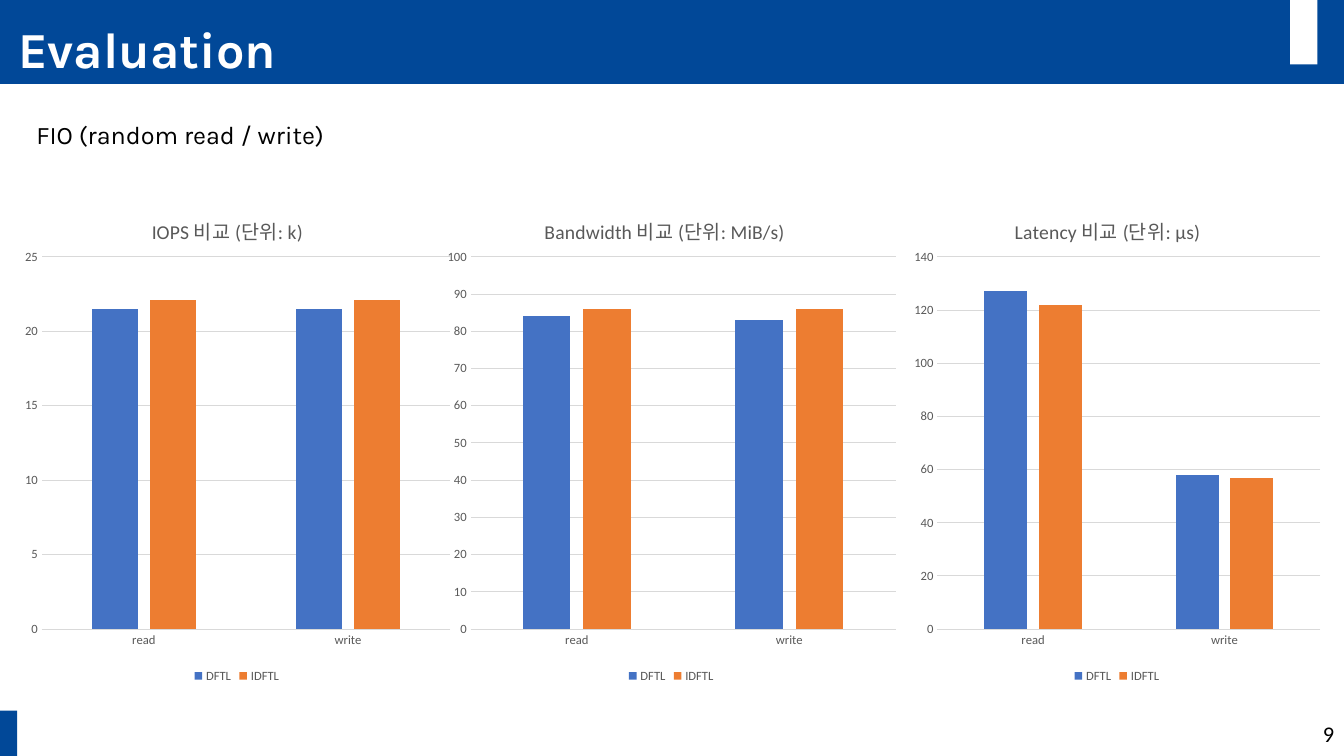
from lxml import etree
from pptx import Presentation
from pptx.chart.data import CategoryChartData
from pptx.dml.color import RGBColor
from pptx.enum.chart import XL_CHART_TYPE, XL_LEGEND_POSITION, XL_TICK_MARK
from pptx.enum.shapes import MSO_SHAPE
from pptx.enum.text import MSO_ANCHOR, PP_ALIGN
from pptx.oxml.ns import qn
from pptx.util import Pt

COLUMNS = XL_CHART_TYPE.COLUMN_CLUSTERED
BOTTOM = XL_LEGEND_POSITION.BOTTOM
NO_TICK = XL_TICK_MARK.NONE
RECT = MSO_SHAPE.RECTANGLE

# Content
HEADING = "Evaluation"
WORKLOAD = "FIO (random read / write)"
PAGE = "9"
CATEGORIES = ["read", "write"]
COMPARISONS = [
    {"title": "Latency 비교 (단위: μs)", "left": 646.6, "width": 302.4,
     "title_x": 0.25, "axis_space": 23, "max": 140, "step": 20,
     "values": {"DFTL": [127, 58], "IDFTL": [122, 57]}},
    {"title": "Bandwidth 비교 (단위: MiB/s)", "left": 313.2, "width": 332.6,
     "title_x": 0.22, "axis_space": 23, "max": 100, "step": 10,
     "values": {"DFTL": [84, 83], "IDFTL": [86, 86]}},
    {"title": "IOPS 비교 (단위: k)", "left": 10.8, "width": 316.8,
     "title_x": 0.3, "axis_space": 19, "max": 25, "step": 5,
     "values": {"DFTL": [21.5, 21.5], "IDFTL": [22.1, 22.1]}},
]

# Style
COLORS = {"blue": "014898", "white": "FFFFFF", "black": "000000",
          "gray": "595959", "grid": "D9D9D9",
          "DFTL": "4472C4", "IDFTL": "ED7D31"}
SLIDE_W, SLIDE_H = 960, 540
CHART_TOP, CHART_H = 132.5, 358.5
PLOT_TOP, PLOT_H, PLOT_RIGHT_GAP = 51, 266, 6
TITLE_Y = 0.05
BARS = [  # left, top, width, height, colour
    (0, 0, SLIDE_W, 60, "blue"),
    (921.6, 0, 19.4, 46, "white"),
    (-0.7, 507.6, 13, 33, "blue"),
]


def rgb(name):
    return RGBColor.from_string(COLORS[name])


def style_font(font, size, color, name="Calibri", bold=False):
    for key, value in {"size": Pt(size), "name": name, "bold": bold}.items():
        setattr(font, key, value)
    font.color.rgb = rgb(color)


def write(frame, text, size, color, name, bold=False):
    frame.text = text
    style_font(frame.paragraphs[0].runs[0].font, size, color, name, bold)
    return frame.paragraphs[0]


def set_layout(parent, index, values):
    """Give a chart part a manual layout in fractions of the chart."""
    for old in parent.findall(qn("c:layout")):
        parent.remove(old)
    layout = etree.Element(qn("c:layout"))
    manual = etree.SubElement(layout, qn("c:manualLayout"))
    for key, value in values.items():
        text = value if isinstance(value, str) else f"{value:.4f}"
        etree.SubElement(manual, qn(f"c:{key}")).set("val", text)
    parent.insert(index, layout)


def add_comparison(slide, item):
    data = CategoryChartData()
    data.categories = CATEGORIES
    for name, values in item["values"].items():
        data.add_series(name, values)
    width = item["width"]
    chart = slide.shapes.add_chart(COLUMNS, Pt(item["left"]), Pt(CHART_TOP),
                                   Pt(width), Pt(CHART_H), data).chart
    style_font(chart.font, 10, "black")

    # Columns
    plot = chart.plots[0]
    for key, value in {"gap_width": 219, "overlap": -27,
                       "vary_by_categories": False}.items():
        setattr(plot, key, value)
    for series in plot.series:
        series.format.fill.solid()
        series.format.fill.fore_color.rgb = rgb(series.name)

    # Axes
    for axis in (chart.category_axis, chart.value_axis):
        axis.major_tick_mark = axis.minor_tick_mark = NO_TICK
        style_font(axis.tick_labels.font, 9, "gray")
    scale = {"minimum_scale": 0, "maximum_scale": item["max"],
             "major_unit": item["step"], "has_major_gridlines": True}
    for key, value in scale.items():
        setattr(chart.value_axis, key, value)
    for line in (chart.category_axis.format.line,
                 chart.value_axis.major_gridlines.format.line):
        line.color.rgb = rgb("grid")
        line.width = Pt(0.75)
    chart.value_axis.format.line.fill.background()

    # Legend and title
    chart.has_legend = True
    chart.legend.position = BOTTOM
    chart.legend.include_in_layout = False
    style_font(chart.legend.font, 9, "gray")
    write(chart.chart_title.text_frame, item["title"], 14, "gray", "Calibri")

    # Placement inside the chart
    root = chart.element
    set_layout(root.find(".//" + qn("c:title")), 1, {
        "xMode": "edge", "yMode": "edge", "x": item["title_x"], "y": TITLE_Y})
    plot_w = width - item["axis_space"] - PLOT_RIGHT_GAP
    set_layout(root.find(".//" + qn("c:plotArea")), 0, {
        "layoutTarget": "inner", "xMode": "edge", "yMode": "edge",
        "x": item["axis_space"] / width, "y": PLOT_TOP / CHART_H,
        "w": plot_w / width, "h": PLOT_H / CHART_H})


def main():
    prs = Presentation()
    prs.slide_width, prs.slide_height = Pt(SLIDE_W), Pt(SLIDE_H)
    slide = prs.slides.add_slide(prs.slide_layouts[5])
    shapes = slide.shapes

    # Header band and accents
    for left, top, width, height, color in BARS:
        bar = shapes.add_shape(RECT, Pt(left), Pt(top), Pt(width), Pt(height))
        bar.shadow.inherit = False
        bar.fill.solid()
        bar.fill.fore_color.rgb = rgb(color)
        bar.line.fill.background()

    # Heading, brought in front of the band
    heading = shapes.title
    for key, value in {"left": 5.8, "top": 0, "width": 828, "height": 60}.items():
        setattr(heading, key, Pt(value))
    heading.text_frame.vertical_anchor = MSO_ANCHOR.BOTTOM
    line = write(heading.text_frame, HEADING, 36, "white", "Karla", True)
    line.alignment = PP_ALIGN.LEFT
    line.line_spacing = 0.9
    heading.element.getparent().append(heading.element)

    # Page number and workload
    page = shapes.add_textbox(Pt(744), Pt(509.8), Pt(216), Pt(28.8)).text_frame
    page.word_wrap = True
    page.vertical_anchor = MSO_ANCHOR.MIDDLE
    write(page, PAGE, 16, "black", "Calibri").alignment = PP_ALIGN.RIGHT
    workload = shapes.add_textbox(Pt(18.9), Pt(82), Pt(224), Pt(29)).text_frame
    workload.word_wrap = False
    write(workload, WORKLOAD, 18, "black", "Karla")

    # Charts
    for item in COMPARISONS:
        add_comparison(slide, item)

    prs.save("out.pptx")


if __name__ == "__main__":
    main()
